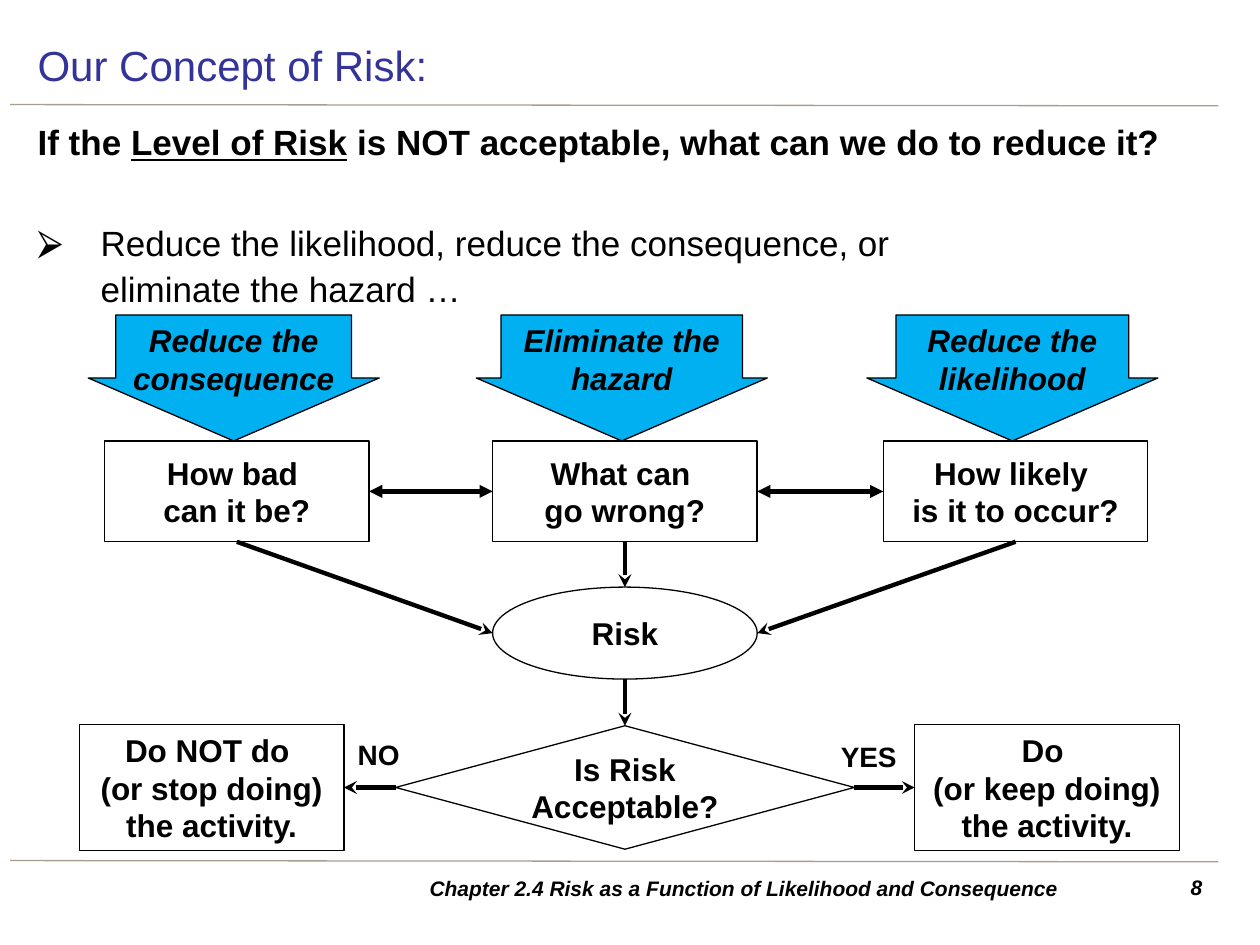
from dataclasses import dataclass
from lxml.etree import SubElement
from pptx import Presentation
from pptx.dml.color import RGBColor
from pptx.enum.shapes import MSO_CONNECTOR, MSO_SHAPE
from pptx.enum.text import MSO_ANCHOR, PP_ALIGN
from pptx.oxml.ns import qn
from pptx.util import Inches, Pt


@dataclass(frozen=True)
class Theme:
    font: str = "Arial"
    ink: str = "000000"
    paper: str = "FFFFFF"
    title: str = "333399"
    rule: str = "AA9C8F"
    action: str = "00B0F0"
    head: int = 24
    body: int = 20
    node: int = 18
    label: int = 16
    foot: int = 12
    thin: float = 0.75
    thick: float = 2.5


class Deck:
    def __init__(self, theme):
        self.theme = theme
        self.show = Presentation()
        self.show.slide_width, self.show.slide_height = Inches(10), Inches(7.5)
        self.slide = self.show.slides.add_slide(self.show.slide_layouts[6])

    def style(self, para, size, color=None, bold=True, italic=False, align=PP_ALIGN.CENTER):
        font = para.font
        font.name, font.size = self.theme.font, Pt(size)
        font.bold, font.italic = bold, italic
        font.color.rgb = RGBColor.from_string(color or self.theme.ink)
        para.alignment = align

    def put(self, frame, paras, size, anchor=MSO_ANCHOR.MIDDLE, **look):
        """Fill a text frame with styled paragraphs."""
        frame.word_wrap = True
        frame.vertical_anchor = anchor
        for i, text in enumerate(paras):
            para = frame.add_paragraph() if i else frame.paragraphs[0]
            para.text = text
            self.style(para, size, **look)

    def text(self, box, paras, size, **look):
        frame = self.slide.shapes.add_textbox(*map(Inches, box)).text_frame
        self.put(frame, paras, size, **look)
        return frame

    def node(self, kind, box, paras, fill=None, **look):
        shape = self.slide.shapes.add_shape(kind, *map(Inches, box))
        shape.shadow.inherit = False
        shape.fill.solid()
        shape.fill.fore_color.rgb = RGBColor.from_string(fill or self.theme.paper)
        shape.line.color.rgb = RGBColor.from_string(self.theme.ink)
        shape.line.width = Pt(self.theme.thin)
        self.put(shape.text_frame, paras, self.theme.node, **look)
        return shape

    def line(self, start, end, color, width):
        line = self.slide.shapes.add_connector(MSO_CONNECTOR.STRAIGHT, *start, *end)
        line.line.color.rgb = RGBColor.from_string(color)
        line.line.width = Pt(width)
        SubElement(line._element.spPr, qn("a:effectLst"))
        return line

    def link(self, start, end, both=False):
        """Draw an arrow between two (shape, side) pairs."""
        line = self.line(spot(*start), spot(*end), self.theme.ink, self.theme.thick)
        for join, (shape, side) in ((line.begin_connect, start), (line.end_connect, end)):
            # An oval numbers its sites differently; only the top agrees.
            if side == TOP or shape.auto_shape_type != MSO_SHAPE.OVAL:
                join(shape, side)
        outline = line._element.spPr.find(qn("a:ln"))
        if both:
            SubElement(outline, qn("a:headEnd"), type="triangle")
        SubElement(outline, qn("a:tailEnd"), type="triangle" if both else "stealth")


TOP, LEFT, BASE, RIGHT = range(4)


def spot(shape, side):
    """Return the middle of one side of a shape."""
    dx, dy = ((1, 0), (0, 1), (1, 2), (2, 1))[side]
    return shape.left + shape.width * dx // 2, shape.top + shape.height * dy // 2


def bullet(para, mark, indent):
    props = para._p.get_or_add_pPr()
    props.set("marL", str(Inches(indent)))
    props.set("indent", str(-Inches(indent)))
    for old in props.findall(qn("a:defRPr")):
        props.remove(old)
        SubElement(props, qn("a:buFont"), typeface="Arial")
        SubElement(props, qn("a:buChar"), char=mark)
        props.append(old)


def frame(deck):
    theme = deck.theme
    for y in (0.83, 6.83):
        deck.line((Inches(0.08), Inches(y)), (Inches(9.67), Inches(y + 0.01)),
                  theme.rule, theme.thin)
    deck.text((0.2, 0.24, 9.45, 0.55), ["Our Concept of Risk:"], theme.head,
              color=theme.title, bold=False, align=PP_ALIGN.LEFT)
    deck.text((9.06, 6.89, 0.58, 0.31), ["8"], theme.foot, anchor=MSO_ANCHOR.TOP,
              italic=True, align=PP_ALIGN.RIGHT)
    deck.text((2.95, 6.89, 5.91, 0.31),
              ["Chapter 2.4 Risk as a Function of Likelihood and Consequence"],
              theme.foot, italic=True)


def body(deck):
    theme = deck.theme
    area = deck.text((0.2, 0.91, 9.45, 5.83), [
        "", "Reduce the likelihood, reduce the consequence, or \neliminate the hazard …",
    ], theme.body, anchor=MSO_ANCHOR.TOP, align=PP_ALIGN.LEFT)
    ask, reply = area.paragraphs
    for part in ("If the ", "Level of Risk", " is NOT acceptable, what can we do to reduce it?"):
        run = ask.add_run()
        run.text = part
        run.font.underline = part == "Level of Risk"
    reply.font.bold = False
    reply.line_spacing = 1.1
    reply.space_before = Pt(31)
    bullet(reply, "⮚", 0.5)


def flow(deck):
    rect = MSO_SHAPE.RECTANGLE
    wide = 2.1
    bad, wrong, likely = [
        deck.node(rect, (x, 3.5, wide, 0.8), [text])
        for x, text in ((0.83, "How bad \ncan it be?"), (3.91, "What can \ngo wrong?"),
                        (7.01, "How likely \nis it to occur?"))
    ]
    risk = deck.node(MSO_SHAPE.OVAL, (3.91, 4.66, wide, 0.73), ["Risk"])
    test = deck.node(MSO_SHAPE.DIAMOND, (3.14, 5.76, 3.64, 0.98), ["Is Risk Acceptable?"])
    stop, keep = [
        deck.node(rect, (x, 5.75, wide, 1), [text, "the activity."])
        for x, text in ((0.63, "Do NOT do \n(or stop doing)"), (7.26, "Do \n(or keep doing)"))
    ]

    deck.link((bad, RIGHT), (wrong, LEFT), both=True)
    deck.link((wrong, RIGHT), (likely, LEFT), both=True)
    deck.link((wrong, BASE), (risk, TOP))
    deck.link((bad, BASE), (risk, LEFT))
    deck.link((likely, BASE), (risk, RIGHT))
    deck.link((risk, BASE), (test, TOP))
    deck.link((test, RIGHT), (keep, LEFT))
    deck.link((test, LEFT), (stop, RIGHT))

    for x, y, text in ((2.64, 5.8, "NO"), (6.53, 5.82, "YES")):
        deck.text((x, y, 0.73, 0.37), [text], deck.theme.label)
    for x, stem, text in ((0.7, 0.81, "Reduce the consequence"),
                          (6.88, 0.8, "Reduce the likelihood"),
                          (3.78, 0.83, "Eliminate the hazard")):
        arrow = deck.node(MSO_SHAPE.DOWN_ARROW, (x, 2.5, 2.31, 1), [text],
                          fill=deck.theme.action, anchor=MSO_ANCHOR.TOP, italic=True)
        arrow.adjustments[0], arrow.adjustments[1] = stem, 0.5


def main():
    deck = Deck(Theme())
    frame(deck)
    body(deck)
    flow(deck)
    deck.show.save("out.pptx")


if __name__ == "__main__":
    main()
